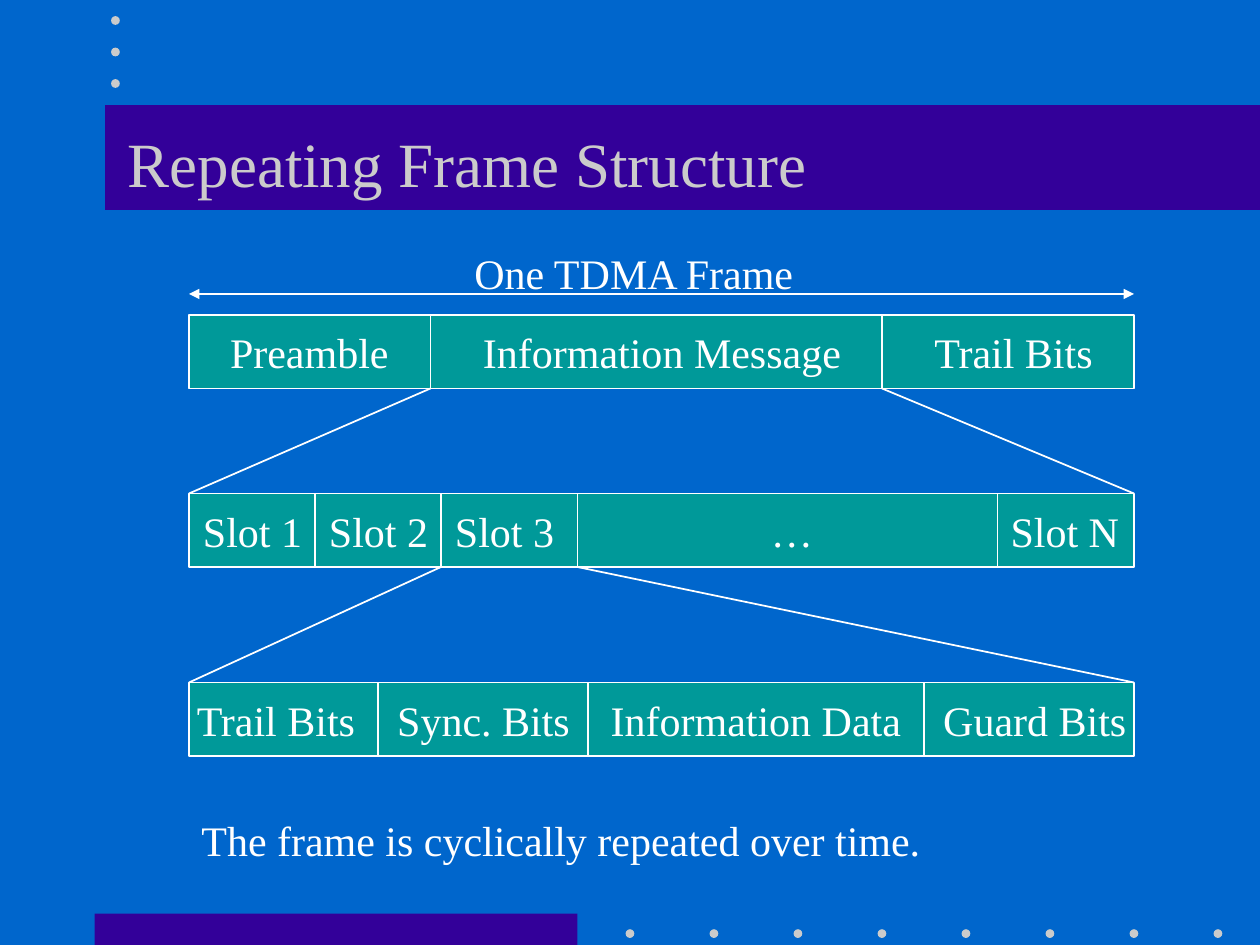
from dataclasses import dataclass

from lxml import etree
from pptx import Presentation
from pptx.dml.color import RGBColor
from pptx.enum import shapes, text
from pptx.oxml import ns
from pptx.util import Pt


@dataclass(frozen=True)
class Theme:
    background: str = "0066CC"
    band: str = "330099"
    dot: str = "CBCBCB"
    bar: str = "009999"
    ink: str = "FFFFFF"
    title: str = "CBCBCB"
    font: str = "Times New Roman"
    title_size: int = 36
    body_size: int = 24
    line_width: int = 1


THEME = Theme()
BAR_LEFT, BAR_WIDTH, BAR_HEIGHT = 108, 540, 42
BAR_RIGHT = BAR_LEFT + BAR_WIDTH

# Each bar: top, dividers, and labels with their left edges
FRAME = (180, (246, 504),
         {"Preamble": 131.5, "Information Message": 276, "Trail Bits": 534})
SLOTS = (282, (180, 252, 330, 570),
         {"Slot 1": 116, "Slot 2": 188, "Slot 3": 260, "…": 440.5, "Slot N": 577.5})
SLOT_PARTS = (390, (216, 336, 528),
              {"Trail Bits": 112.5, "Sync. Bits": 227, "Information Data": 349,
               "Guard Bits": 539})


def color(value):
    return RGBColor.from_string(value)


def add_block(slide, kind, left, top, width, height, fill):
    shape = slide.shapes.add_shape(kind, Pt(left), Pt(top), Pt(width), Pt(height))
    shape.shadow.inherit = False
    shape.fill.solid()
    shape.fill.fore_color.rgb = color(fill)
    shape.line.fill.background()
    return shape


def add_dot(slide, left, top):
    add_block(slide, shapes.MSO_SHAPE.OVAL, left, top, 5, 5, THEME.dot)


def add_line(slide, start, end, arrows=False):
    line = slide.shapes.add_connector(
        shapes.MSO_CONNECTOR.STRAIGHT, *(Pt(value) for value in (*start, *end)))
    line.line.color.rgb = color(THEME.ink)
    line.line.width = Pt(THEME.line_width)
    if arrows:
        outline = line.line._get_or_add_ln()
        for end_name in ("a:headEnd", "a:tailEnd"):
            etree.SubElement(outline, ns.qn(end_name), type="triangle")
    etree.SubElement(line._element.spPr, ns.qn("a:effectLst"))


def write(shape, wording, size, ink):
    frame = shape.text_frame
    frame.word_wrap = True
    paragraph = frame.paragraphs[0]
    paragraph.text = wording
    paragraph.alignment = text.PP_ALIGN.LEFT
    paragraph.font.name = THEME.font
    paragraph.font.size = Pt(size)
    paragraph.font.color.rgb = color(ink)
    return frame


def add_text(slide, wording, left, top, width, height,
             size=THEME.body_size, ink=THEME.ink):
    box = slide.shapes.add_textbox(Pt(left), Pt(top), Pt(width), Pt(height))
    return write(box, wording, size, ink)


def add_bar(slide, top, dividers, labels):
    """Draw a divided bar whose labels are placed with tab stops."""
    bar = add_block(slide, shapes.MSO_SHAPE.RECTANGLE,
                    BAR_LEFT, top, BAR_WIDTH, BAR_HEIGHT, THEME.bar)
    bar.line.color.rgb = color(THEME.ink)
    bar.line.width = Pt(THEME.line_width)
    frame = write(bar, "\t".join(labels), THEME.body_size, THEME.ink)
    frame.vertical_anchor = text.MSO_ANCHOR.MIDDLE
    first, *others = labels.values()
    frame.margin_left, frame.margin_right = Pt(first - BAR_LEFT), 0

    properties = frame.paragraphs[0]._p.get_or_add_pPr()
    tabs = etree.Element(ns.qn("a:tabLst"))
    for left in others:
        etree.SubElement(tabs, ns.qn("a:tab"), pos=str(Pt(left - first)), algn="l")
    properties.find(ns.qn("a:defRPr")).addprevious(tabs)

    for x in dividers:
        add_line(slide, (x, top), (x, top + BAR_HEIGHT))


def add_zoom(slide, left, right, upper, lower):
    """Join one cell of the upper bar to both ends of the lower bar."""
    bottom = upper + BAR_HEIGHT
    add_line(slide, (left, bottom), (BAR_LEFT, lower))
    add_line(slide, (right, bottom), (BAR_RIGHT, lower))


def add_decoration(slide):
    rectangle = shapes.MSO_SHAPE.RECTANGLE
    add_block(slide, rectangle, 54, 522, 276, 18, THEME.band)
    add_block(slide, rectangle, 60, 60, 660, 60, THEME.band)
    for index in range(8):
        add_dot(slide, 357.5 + 48 * index, 531)
    for index in range(3):
        add_dot(slide, 63.5, 9.25 + 18 * index)


def main():
    presentation = Presentation()
    presentation.slide_width, presentation.slide_height = Pt(720), Pt(540)
    slide = presentation.slides.add_slide(presentation.slide_layouts[6])
    slide.background.fill.solid()
    slide.background.fill.fore_color.rgb = color(THEME.background)

    # Background decoration and title
    add_decoration(slide)
    title = add_text(slide, "Repeating Frame Structure", 66, 48, 600, 90,
                     THEME.title_size, THEME.title)
    title.vertical_anchor = text.MSO_ANCHOR.MIDDLE

    # Frame, its slots, and the parts of one slot
    for bar in (FRAME, SLOTS, SLOT_PARTS):
        add_bar(slide, *bar)
    add_zoom(slide, *FRAME[1], FRAME[0], SLOTS[0])
    add_zoom(slide, *SLOTS[1][1:3], SLOTS[0], SLOT_PARTS[0])

    # Frame extent and closing remark
    add_line(slide, (BAR_LEFT, 168), (BAR_RIGHT, 168), arrows=True)
    add_text(slide, "One TDMA Frame", 264, 138, 216, 36)
    add_text(slide, "The frame is cyclically repeated over time.", 108, 462, 456, 36)

    presentation.save("out.pptx")


if __name__ == "__main__":
    main()
